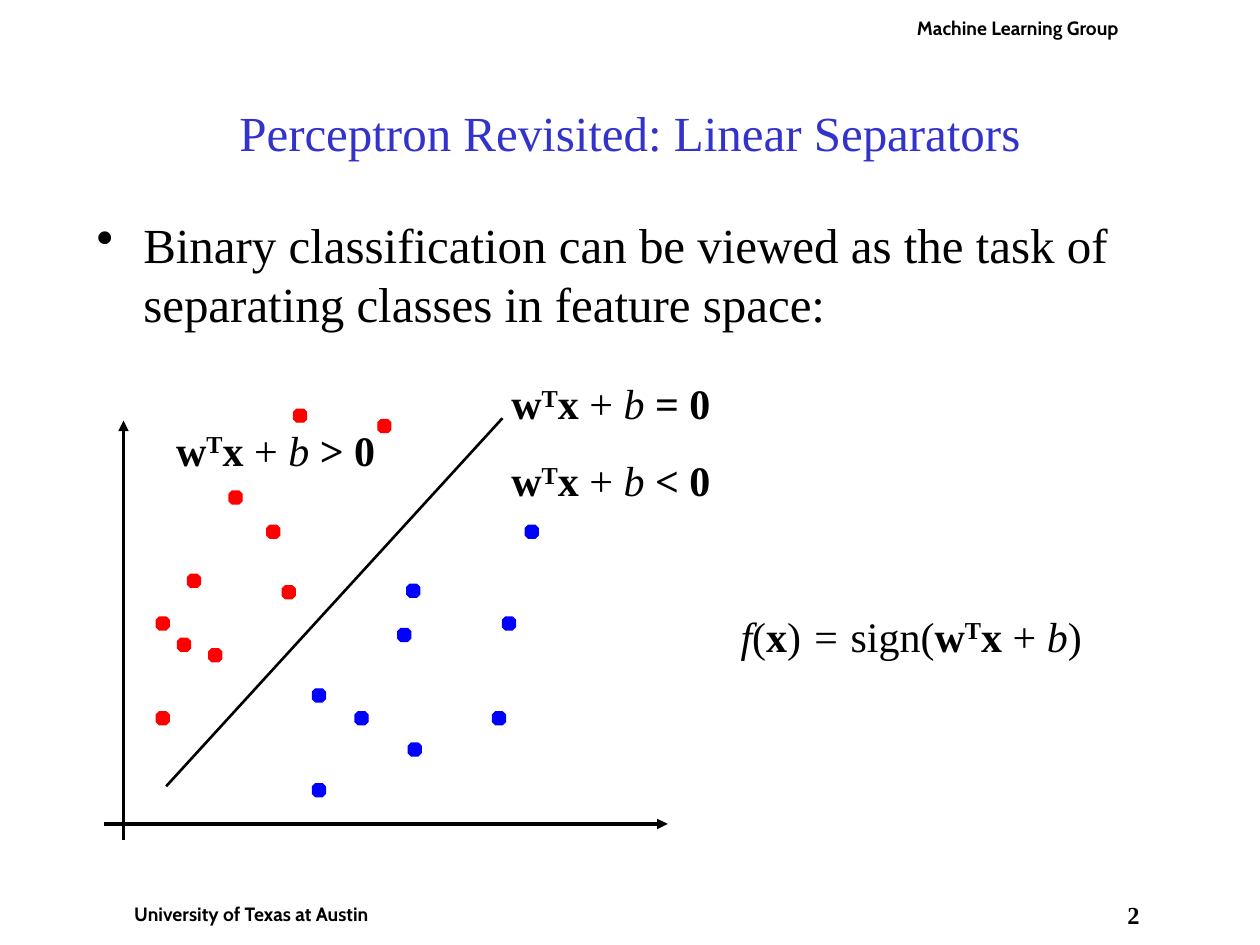
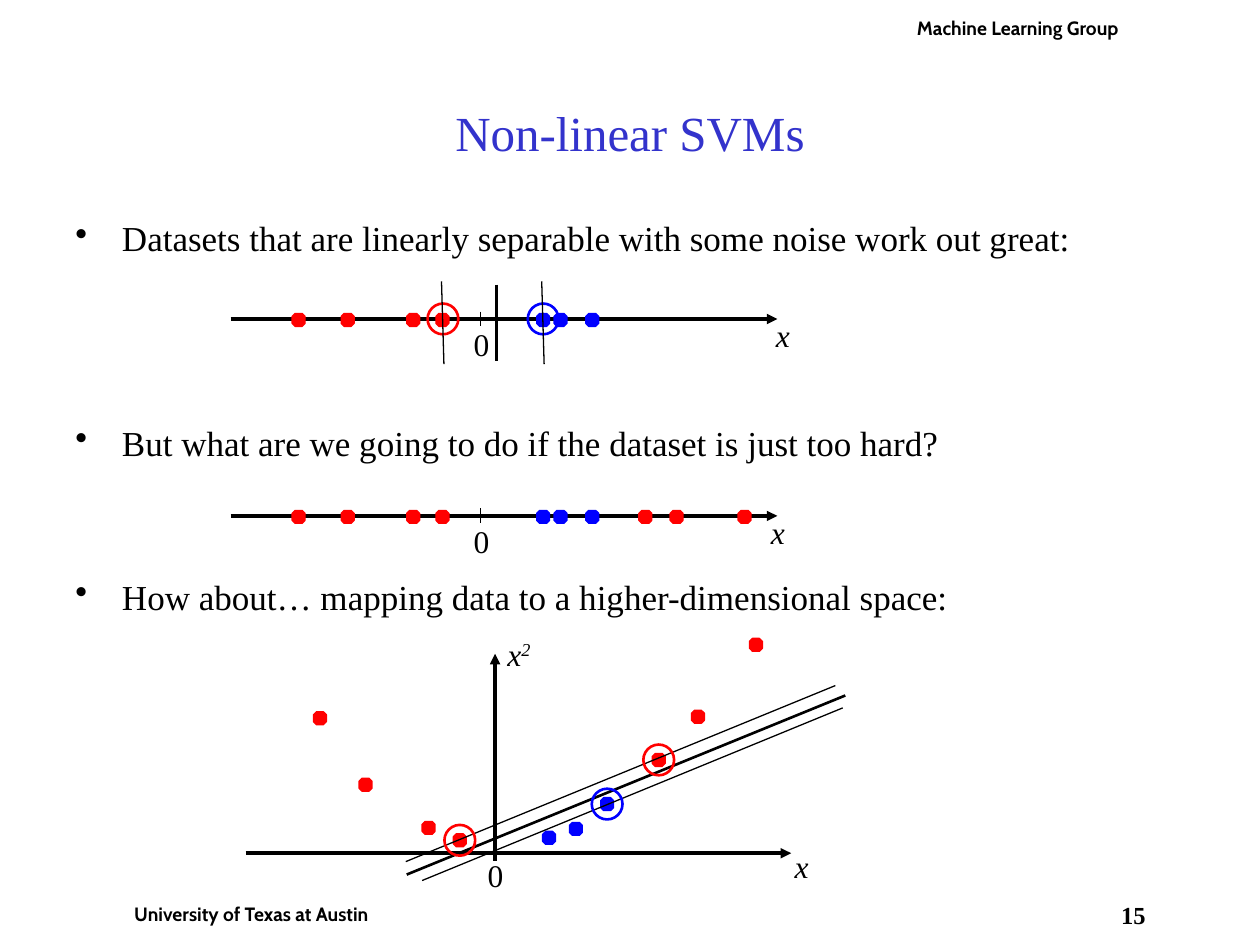
from lxml import etree
from pptx import Presentation
from pptx.dml.color import RGBColor
from pptx.enum.shapes import MSO_CONNECTOR, MSO_SHAPE
from pptx.enum.text import MSO_ANCHOR, PP_ALIGN
from pptx.oxml.ns import qn
from pptx.util import Cm, Pt

LEFT, CENTER = PP_ALIGN.LEFT, PP_ALIGN.CENTER
TOP, MIDDLE = MSO_ANCHOR.TOP, MSO_ANCHOR.MIDDLE
STRAIGHT = MSO_CONNECTOR.STRAIGHT
OCTAGON, OVAL = MSO_SHAPE.OCTAGON, MSO_SHAPE.OVAL

COLORS = {"title": "3333CC", "text": "000000", "paper": "FFFFFF",
          "red": "FF0000", "blue": "0000FF"}
SERIF, SANS = "Times New Roman", "Cabin"
DOT, RING = 0.26, 0.62
INDENT = 0.94

# Runs are (text, style) pairs; style letters: b bold, i italic, s superscript
SCORE = [("w", "b"), ("T", "bs"), ("x ", "b"), ("+ ", ""), ("b", "i")]
DECISION = [("f", "i"), ("(", ""), ("x", "b"), (")", ""), (" = ", "i"),
            ("sign(", ""), *SCORE, (")", "")]
X = [("x", "i")]
X_SQUARED = [("x", "i"), ("2", "is")]


def rgb(name):
    return RGBColor.from_string(COLORS[name])


def add_text(slide, box, paragraphs, size=18, font=SERIF, color="text", style="",
             align=LEFT, anchor=TOP, margins=(0.25, 0.13), fill=None, bullet=False,
             gaps=()):
    """Add a text box; each paragraph is a string or a list of runs."""
    s = slide.shapes.add_textbox(*map(Cm, box))
    if fill:
        s.fill.solid()
        s.fill.fore_color.rgb = rgb(fill)
    tf = s.text_frame
    tf.word_wrap = True
    tf.vertical_anchor = anchor
    tf.margin_left = tf.margin_right = Cm(margins[0])
    tf.margin_top = tf.margin_bottom = Cm(margins[1])
    for i, runs in enumerate(paragraphs):
        p = tf.add_paragraph() if i else tf.paragraphs[0]
        p.alignment = align
        if bullet:
            pPr = p._p.get_or_add_pPr()
            pPr.set("marL", str(Cm(INDENT)))
            pPr.set("indent", str(-Cm(INDENT)))
            etree.SubElement(pPr, qn("a:buChar")).set("char", "•")
        if i and gaps:
            p.space_before = Pt(gaps[i - 1])
        for text, mark in [(runs, style)] if isinstance(runs, str) else runs:
            r = p.add_run()
            r.text = text
            r.font.name, r.font.size = font, Pt(size)
            r.font.color.rgb = rgb(color)
            r.font.bold, r.font.italic = "b" in mark, "i" in mark
            if "s" in mark:
                r._r.get_or_add_rPr().set("baseline", "30000")
    return s


def add_line(slide, origin, start, end, width=0.75, arrow=False):
    ox, oy = origin
    c = slide.shapes.add_connector(STRAIGHT, Cm(ox + start[0]), Cm(oy + start[1]),
                                   Cm(ox + end[0]), Cm(oy + end[1]))
    c.line.color.rgb = rgb("text")
    c.line.width = Pt(width)
    if arrow:
        etree.SubElement(c.line._get_or_add_ln(), qn("a:tailEnd")).set("type", "triangle")
    etree.SubElement(c._element.spPr, qn("a:effectLst"))


def add_mark(slide, origin, center, color, ring=False):
    """Draw a data point, or the ring around a support vector."""
    size = RING if ring else DOT
    s = slide.shapes.add_shape(OVAL if ring else OCTAGON,
                               Cm(origin[0] + center[0] - size / 2),
                               Cm(origin[1] + center[1] - size / 2), Cm(size), Cm(size))
    s.shadow.inherit = False
    s.line.color.rgb = rgb(color)
    s.line.width = Pt(1.5 if ring else 0.75)
    if ring:
        s.fill.background()
    else:
        s.adjustments[0] = 0.23
        s.fill.solid()
        s.fill.fore_color.rgb = rgb(color)


def add_marks(slide, origin, groups, ring=False):
    for color, centers in groups.items():
        for center in centers:
            add_mark(slide, origin, center, color, ring)


def add_label(slide, origin, at, runs, width=1.27, height=1.02, size=18):
    add_text(slide, (origin[0] + at[0], origin[1] + at[1], width, height), [runs], size=size)


def add_frame(prs, title, number):
    """Start a slide with its title, header, footer and page number."""
    slide = prs.slides.add_slide(prs.slide_layouts[6])
    band = dict(style="b", align=CENTER, fill="paper")
    add_text(slide, (22.43, 18.14, 0.84, 0.91), [number], size=14, margins=(0, 0), **band)
    for box, text in [((2.11, 18.06, 5.92, 0.74), "University of Texas at Austin"),
                      ((17.98, 0.2, 5.08, 0.74), "Machine Learning Group")]:
        add_text(slide, box, [text], size=11, font=SANS, margins=(0.13, 0.13), **band)
    add_text(slide, (1.9, 1.07, 21.6, 3.17), [title], size=28, color="title",
             align=CENTER, anchor=MIDDLE)
    return slide


def add_separator_plot(slide, origin):
    add_line(slide, origin, (0.39, 8.74), (0.39, 0.28), 2, arrow=True)
    add_line(slide, origin, (0, 8.41), (11.36, 8.41), 2, arrow=True)
    add_marks(slide, origin, {
        "red": [(3.41, 2.52), (1.81, 3.51), (2.24, 5.01), (1.18, 6.28), (2.65, 1.83),
                (1.18, 4.37), (1.61, 4.8), (3.72, 3.74), (3.95, 0.18), (5.65, 0.39)],
        "blue": [(6.23, 3.71), (5.19, 6.28), (7.96, 6.28), (4.33, 7.73), (6.05, 4.6),
                 (4.33, 5.82), (6.26, 6.91), (8.16, 4.37), (8.62, 2.52)]})
    add_line(slide, origin, (1.25, 7.65), (8.03, 0.23), 1.5)
    for at, sign in [((7.96, -0.71), "="), ((7.96, 0.84), "<"), ((1.2, 0.23), ">")]:
        add_label(slide, origin, at, SCORE + [(f" {sign} 0", "b")], 7.42, 1.27, 24)


def add_number_line(slide, origin, far_reds=(), x_left=10.74):
    """Draw a one-dimensional data set whose axis starts at origin."""
    add_line(slide, origin, (0, 0), (11.02, 0), 2, arrow=True)
    add_line(slide, origin, (5.03, -0.15), (5.03, 0.15))
    add_label(slide, origin, (4.65, 0), "0", width=0.94)
    add_marks(slide, origin, {
        "red": [(x, 0.02) for x in (1.37, 2.36, 3.68, 4.27, *far_reds)],
        "blue": [(x, 0.02) for x in (6.3, 6.65, 7.29)]})
    add_label(slide, origin, (x_left, -0.18), X)


def add_line_margin(slide, origin):
    """Mark the separator and support vectors on a number line."""
    add_line(slide, origin, (5.36, -0.69), (5.36, 0.84), 1.5)
    for x, color in [(6.3, "blue"), (4.28, "red")]:
        add_mark(slide, origin, (x, 0), color, ring=True)
        add_line(slide, origin, (x + 0.02, 0.91), (x - 0.03, -0.76))


def add_mapped_plot(slide, origin):
    add_line(slide, origin, (0, 4.5), (11, 4.5), 2, arrow=True)
    add_line(slide, origin, (5.03, 4.65), (5.03, 0.48), 2, arrow=True)
    near_red, far_red, blue_vector = (4.32, 4.24), (8.33, 2.62), (7.29, 3.51)
    add_marks(slide, origin, {
        "red": [(1.5, 1.78), (2.42, 3.12), (3.69, 3.99), near_red, far_red,
                (9.12, 1.75), (10.29, 0.3)],
        "blue": [(6.12, 4.19), (6.66, 4.01), blue_vector]})
    add_label(slide, origin, (4.63, 4.42), "0", width=0.94)
    add_label(slide, origin, (5.03, -0.03), X_SQUARED)
    add_label(slide, origin, (10.82, 4.24), X)
    for start, end, width in [((3.25, 4.93), (12.09, 1.32), 1.5),
                              ((3.23, 4.67), (11.89, 1.12), 0.75),
                              ((3.56, 5.05), (12.04, 1.57), 0.75)]:
        add_line(slide, origin, start, end, width)
    add_marks(slide, origin, {"red": [near_red, far_red], "blue": [blue_vector]}, ring=True)


def build_linear_separators(prs):
    slide = add_frame(prs, "Perceptron Revisited: Linear Separators", "2")
    add_text(slide, (1.7, 4.2, 22.86, 3), [
        "Binary classification can be viewed as the task of separating classes "
        "in feature space:"], size=28, bullet=True)
    add_separator_plot(slide, (2.1, 8.2))
    add_label(slide, (14.68, 12.17), (0, 0), DECISION, 8.15, 1.27, 24)


def build_nonlinear_svms(prs):
    slide = add_frame(prs, "Non-linear SVMs", "15")
    add_text(slide, (1.27, 4.24, 22.86, 8.4), [
        "Datasets that are linearly separable with some noise work out great:",
        "But what are we going to do if the dataset is just too hard?",
        "How about… mapping data to a higher-dimensional space:"],
        size=20, bullet=True, gaps=(93, 64))
    separable = (4.65, 6.43)
    add_number_line(slide, separable)
    add_line_margin(slide, separable)
    add_number_line(slide, (4.65, 10.4), far_reds=(8.36, 8.99, 10.36), x_left=10.64)
    add_mapped_plot(slide, (4.95, 12.7))


def main():
    prs = Presentation()
    prs.slide_width, prs.slide_height = Cm(25.4), Cm(19.05)
    build_linear_separators(prs)
    build_nonlinear_svms(prs)
    prs.save("out.pptx")


if __name__ == "__main__":
    main()
